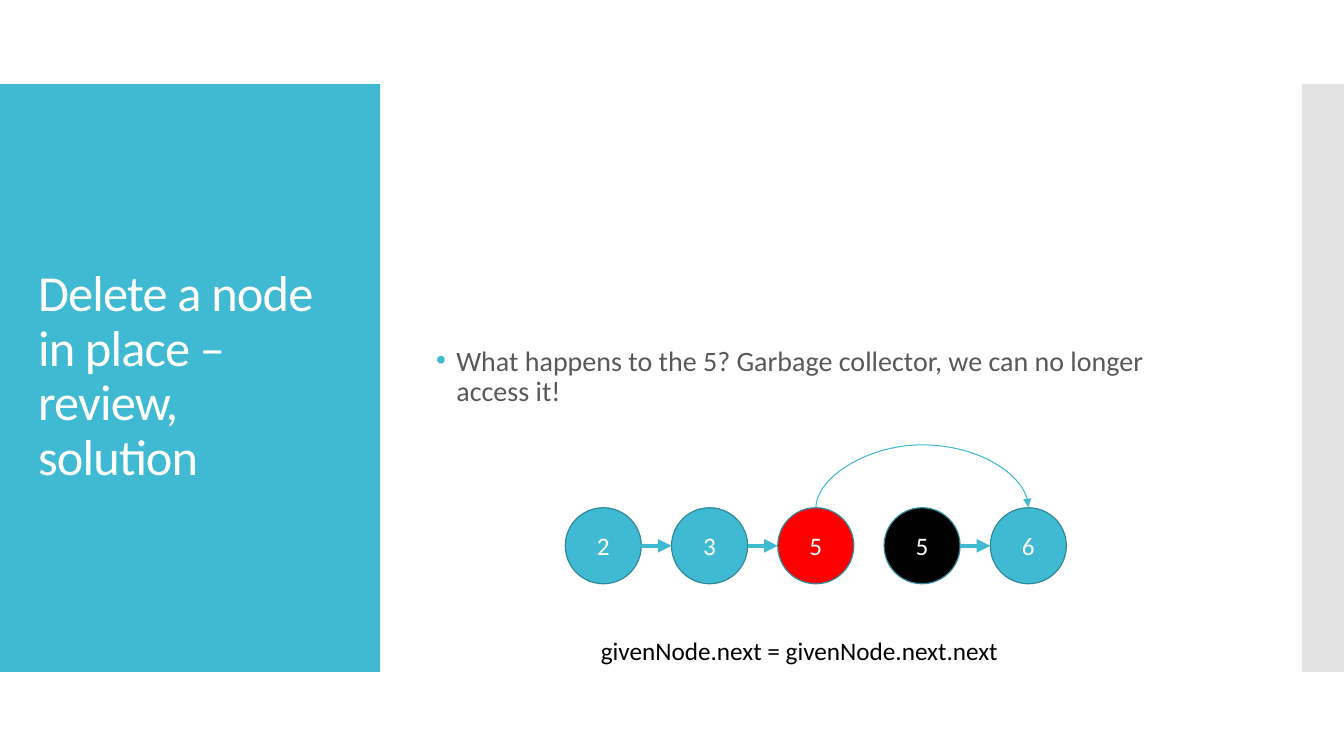
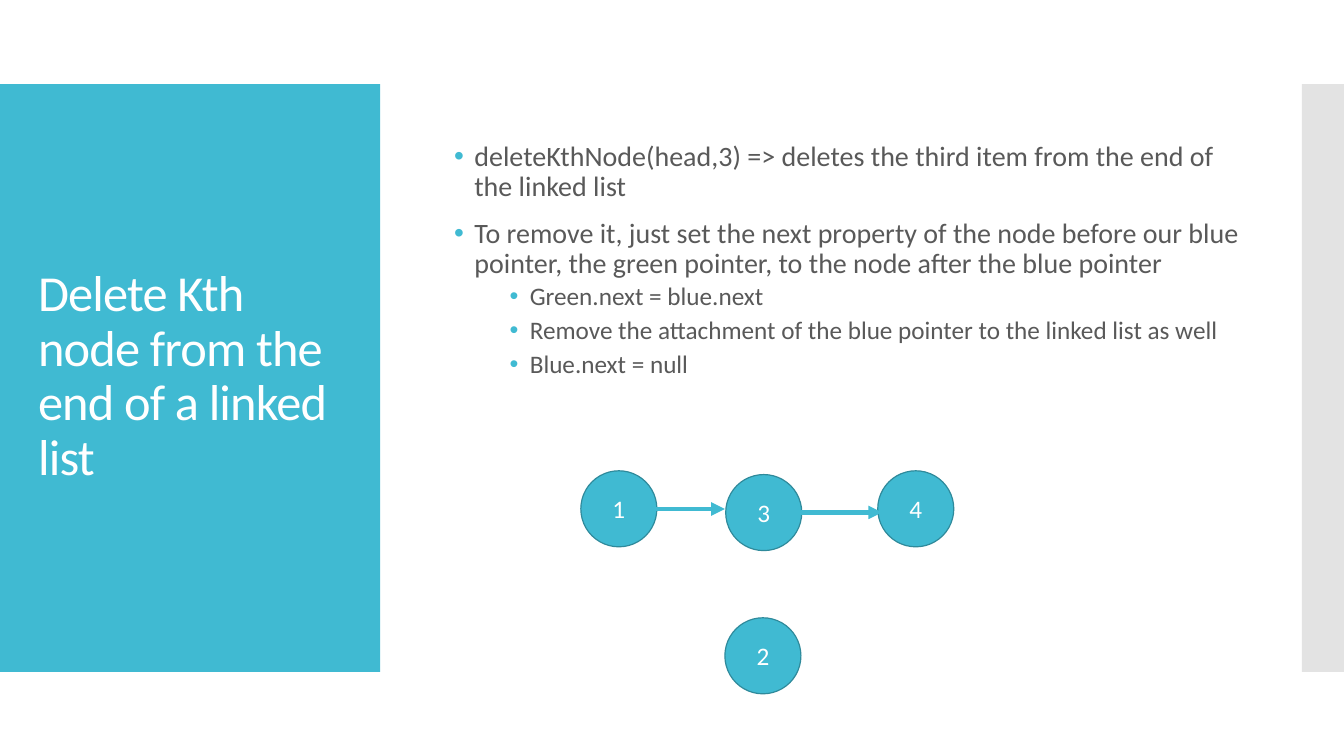
from lxml import etree
from pptx import Presentation, util as u
from pptx.dml import color
from pptx.enum import shapes, text
from pptx.oxml import ns

COLUMNS, ROWS = 32, 18
CELL = u.Inches(7.5) / ROWS
FONT = "Calibri"
TEAL, EDGE, GRAY, BODY = "40BAD2", "2F8A9B", "C8C8C8", "595959"
WHITE, BLACK, RED = "FFFFFF", "000000", "FF0000"
NODE = 1.81
BAND_TOP, BAND_HEIGHT = 2, 14


def cells(*counts):
    return [u.Emu(round(count * CELL)) for count in counts]


def rgb(value):
    return color.RGBColor.from_string(value)


def add_child(parent, tag, **attributes):
    child = etree.SubElement(parent, ns.qn(tag))
    for name, value in attributes.items():
        child.set(name, str(value))
    return child


def write(paragraph, content, size=18, fill=BLACK, align=None, line=None,
          before=None, after=None, tracking=None):
    paragraph.text = content
    paragraph.alignment = align
    paragraph.line_spacing = line
    if before is not None:
        paragraph.space_before = u.Pt(before)
    if after is not None:
        paragraph.space_after = u.Pt(after)
    for run in paragraph.runs:
        run.font.size = u.Pt(size)
        run.font.name = FONT
        run.font.color.rgb = rgb(fill)
        if tracking is not None:
            run.font._element.set("spc", str(round(tracking * 100)))


def add_frame(slide, box, anchor=text.MSO_ANCHOR.TOP):
    frame = slide.shapes.add_textbox(*cells(*box)).text_frame
    frame.word_wrap = True
    frame.vertical_anchor = anchor
    return frame


def add_shape(slide, kind, box, fill, edge=None):
    shape = slide.shapes.add_shape(kind, *cells(*box))
    shape.shadow.inherit = False
    shape.fill.solid()
    shape.fill.fore_color.rgb = rgb(fill)
    if edge:
        shape.line.color.rgb = rgb(edge)
        shape.line.width = u.Pt(0.85)
    else:
        shape.line.fill.background()
    return shape


def add_band(slide, left, width, fill, opacity=None):
    box = (left, BAND_TOP, width, BAND_HEIGHT)
    band = add_shape(slide, shapes.MSO_SHAPE.RECTANGLE, box, fill)
    if opacity is not None:
        shade = next(band._element.spPr.iter(ns.qn("a:srgbClr")))
        add_child(shade, "a:alpha", val=round(opacity * 100000))


def add_titled_slide(presentation, title):
    slide = presentation.slides.add_slide(presentation.slide_layouts[6])
    add_band(slide, 0, 9.05, TEAL)
    add_band(slide, COLUMNS - 1, 1, GRAY, opacity=0.5)
    frame = add_frame(slide, (0.67, 2.95, 7.73, 12.07), text.MSO_ANCHOR.MIDDLE)
    write(frame.paragraphs[0], title, size=36, fill=WHITE, line=0.9, tracking=-0.6)
    return slide


def add_bullets(slide, box, items):
    frame = add_frame(slide, box, text.MSO_ANCHOR.MIDDLE)
    for index, (level, content) in enumerate(items):
        paragraph = frame.add_paragraph() if index else frame.paragraphs[0]
        size, margin, before, after = [(20, 0.2, 12, 0), (18, 0.75, 2.5, 2.5)][level]
        paragraph.level = level
        write(paragraph, content, size=size, fill=BODY, line=0.9, before=before, after=after)
        properties = paragraph._p.get_or_add_pPr()
        properties.set("marL", str(u.Inches(margin)))
        properties.set("indent", str(-u.Inches(0.2)))
        add_child(add_child(properties, "a:buClr"), "a:srgbClr", val=TEAL)
        add_child(properties, "a:buFont", typeface="Arial")
        add_child(properties, "a:buChar", char="•")


def add_node(slide, label, left, top, fill=TEAL):
    node = add_shape(slide, shapes.MSO_SHAPE.OVAL, (left, top, NODE, NODE), fill, EDGE)
    node.text_frame.vertical_anchor = text.MSO_ANCHOR.MIDDLE
    write(node.text_frame.paragraphs[0], label, fill=WHITE, align=text.PP_ALIGN.CENTER)


def add_arrow(slide, start, end, width=3.25, kind=shapes.MSO_CONNECTOR.STRAIGHT):
    arrow = slide.shapes.add_connector(kind, *cells(*start, *end))
    arrow.line.color.rgb = rgb(TEAL)
    arrow.line.width = u.Pt(width)
    properties = arrow._element.spPr
    add_child(properties.find(ns.qn("a:ln")), "a:tailEnd", type="triangle")
    add_child(properties, "a:effectLst")
    return properties


def add_arc(slide, left, right, row, rise):
    thickness, span, middle = 0.03, right - left, (left + right) / 2
    properties = add_arrow(
        slide,
        (middle + thickness / 2, row + span / 2),
        (middle - thickness / 2, row - span / 2),
        width=0.75, kind=shapes.MSO_CONNECTOR.CURVE)
    properties.find(ns.qn("a:xfrm")).set("rot", str(90 * 60000))
    geometry = properties.find(ns.qn("a:prstGeom"))
    for guides in geometry.findall(ns.qn("a:avLst")):
        geometry.remove(guides)
    bend = round(rise / thickness * 100000)
    add_child(add_child(geometry, "a:avLst"), "a:gd", name="adj1", fmla=f"val {bend}")


def build_review(presentation):
    slide = add_titled_slide(presentation, "Delete a node in place – review,\nsolution")
    add_bullets(slide, (10.15, 2.26, 19.2, 13.44), [
        (0, "What happens to the 5? Garbage collector, we can no longer access it!")])
    first, step, top = 13.46, 2.53, 12.09
    nodes = [("2", TEAL), ("3", TEAL), ("5", RED), ("5", BLACK), ("6", TEAL)]
    lefts = [first + step * index for index in range(len(nodes))]
    for left, (label, fill) in zip(lefts, nodes):
        add_node(slide, label, left, top, fill)
    row = top + NODE / 2
    for index in (0, 1, 3):
        add_arrow(slide, (lefts[index] + NODE, row), (lefts[index + 1], row))
    add_arc(slide, lefts[2] + NODE / 2, lefts[4] + NODE / 2, top, rise=1.5)
    caption = add_frame(slide, (14.07, 15.02, 12.53, 0.96))
    write(caption.paragraphs[0], "givenNode.next = givenNode.next.next")


def build_kth_node(presentation):
    slide = add_titled_slide(presentation, "Delete Kth node from the end of a linked list")
    add_bullets(slide, (10.58, 0.17, 19.2, 12.07), [
        (0, "deleteKthNode(head,3) => deletes the third item from the end of the linked list"),
        (0, "To remove it, just set the next property of the node before our blue pointer, "
            "the green pointer, to the node after the blue pointer"),
        (1, "Green.next = blue.next"),
        (1, "Remove the attachment of the blue pointer to the linked list as well"),
        (1, "Blue.next = null")])
    for label, left, top in [("1", 13.83, 11.21), ("2", 17.26, 14.71),
                             ("3", 17.28, 11.3), ("4", 20.9, 11.21)]:
        add_node(slide, label, left, top)
    for start, end, row in [(19.08, 21, 12.2), (15.63, 17.26, 12.12)]:
        add_arrow(slide, (start, row), (end, row))


def main():
    presentation = Presentation()
    presentation.slide_width, presentation.slide_height = cells(COLUMNS, ROWS)
    build_review(presentation)
    build_kth_node(presentation)
    presentation.save("out.pptx")


main()
